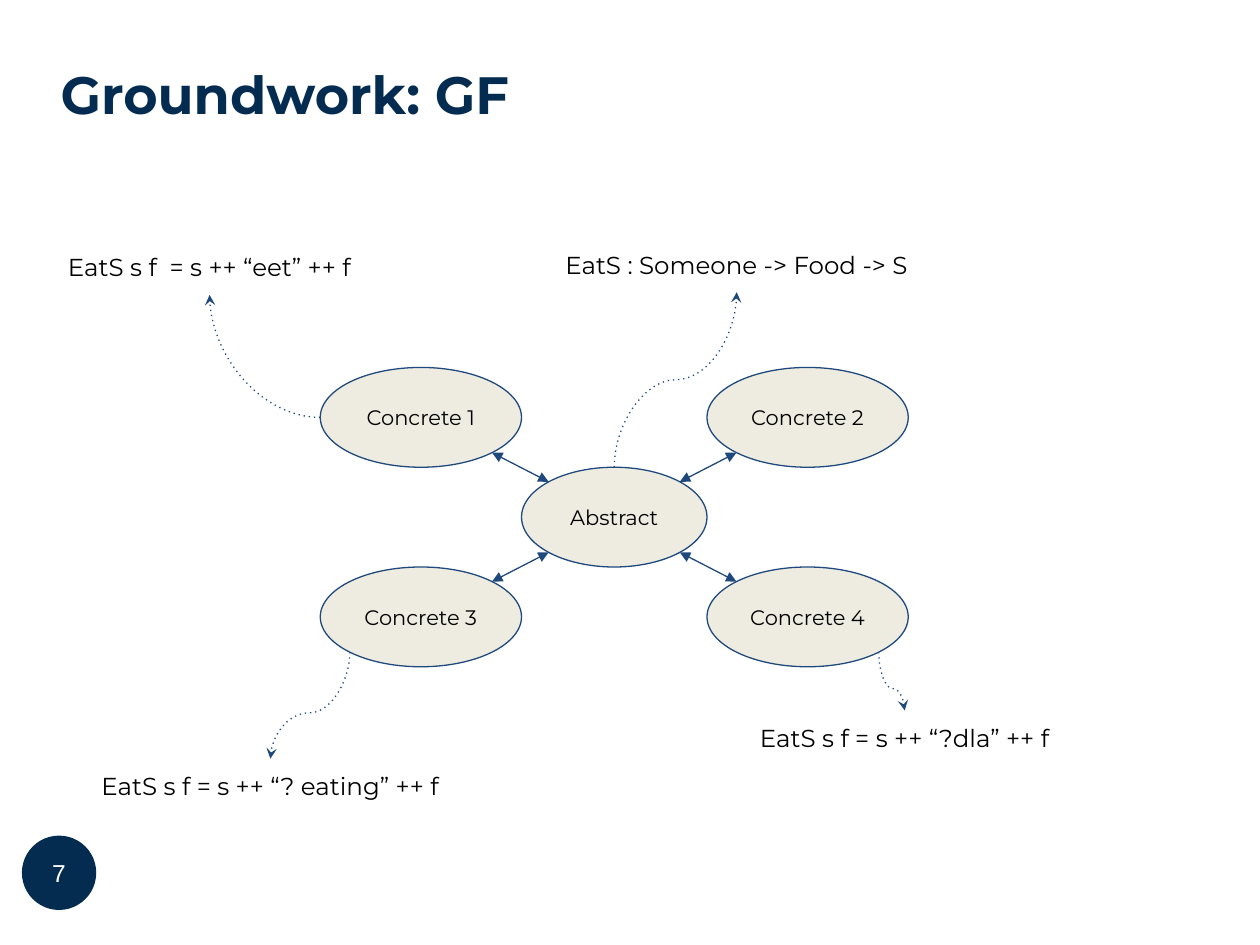
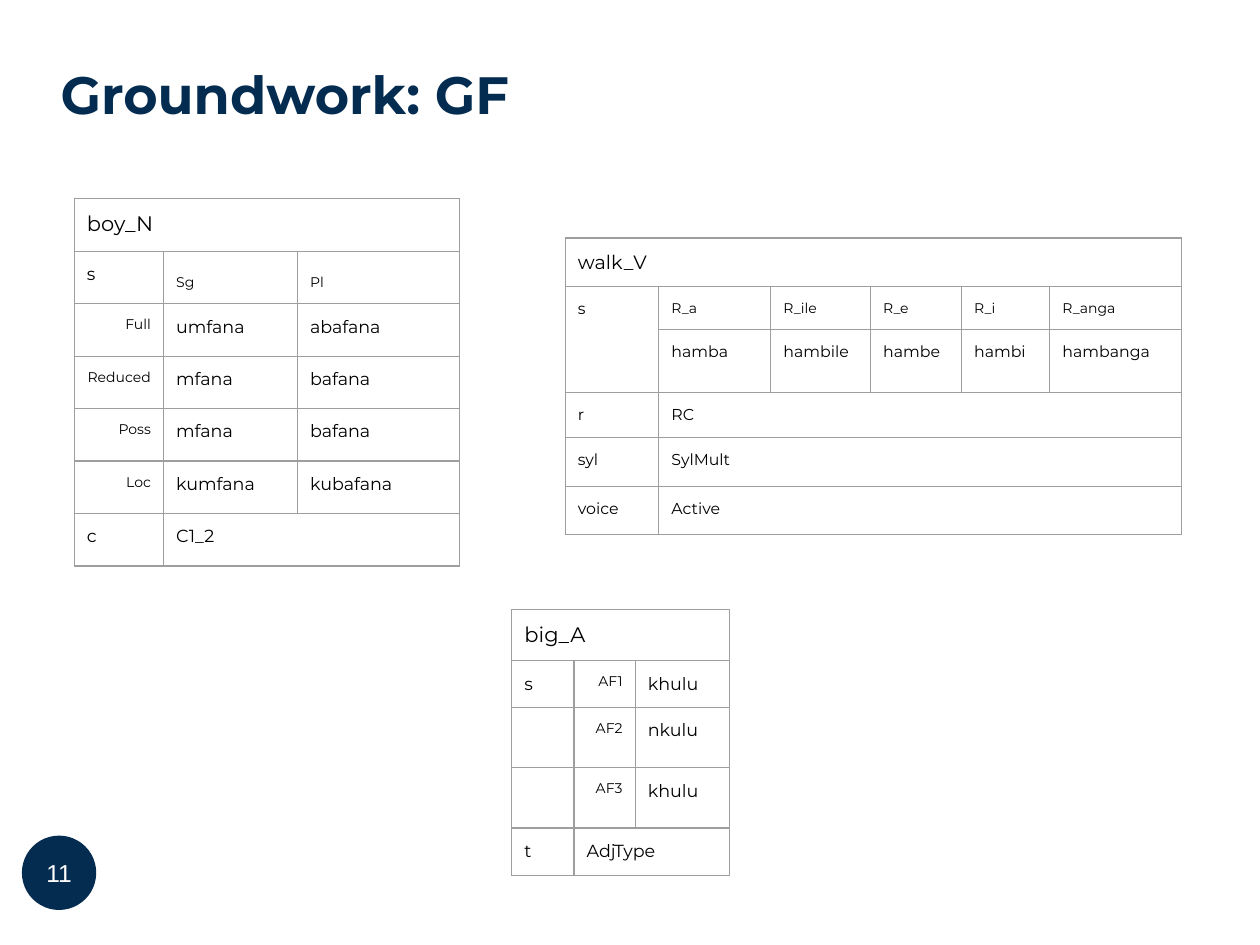
from dataclasses import dataclass
from math import cos, pi, sin

from lxml.etree import SubElement
from pptx import Presentation
from pptx.dml.color import RGBColor
from pptx.enum.shapes import MSO_CONNECTOR, MSO_SHAPE
from pptx.enum.text import MSO_ANCHOR, MSO_AUTO_SIZE, PP_ALIGN
from pptx.oxml.ns import qn
from pptx.util import Pt


@dataclass(frozen=True)
class Theme:
    """Colours, fonts and type sizes shared by the slides."""
    navy: RGBColor = RGBColor(0x03, 0x2C, 0x50)
    blue: RGBColor = RGBColor(0x1F, 0x49, 0x7D)
    sand: RGBColor = RGBColor(0xEE, 0xEC, 0xE1)
    grid: str = "9E9E9E"
    black: RGBColor = RGBColor(0, 0, 0)
    white: RGBColor = RGBColor(255, 255, 255)
    font: str = "Montserrat"
    badge_font: str = "Arial"
    title_size: float = 30
    rule_size: float = 14
    node_size: float = 12
    label_size: float = 8
    stroke: float = 0.75


THEME = Theme()
INSET = Pt(7.2)
INSETS = {f"margin_{side}": INSET for side in ("left", "top", "right", "bottom")}

NOUN = {
    "origin": (42.5, 113.5),
    "widths": (51, 76.5, 92.5),
    "heights": (30,) * 7,
    "sizes": (12, 10),
    "labels": {"Full", "Reduced", "Poss", "Loc"},
    "forms": {"Sg", "Pl"},
    "rows": [
        ["boy_N", None, None],
        ["s", "Sg", "Pl"],
        ["Full", "umfana", "abafana"],
        ["Reduced", "mfana", "bafana"],
        ["Poss", "mfana", "bafana"],
        ["Loc", "kumfana", "kubafana"],
        ["c", "C1_2", None],
    ],
}
ADJECTIVE = {
    "origin": (292.5, 348.5),
    "widths": (35.5, 35, 54),
    "heights": (29, 26.5, 34.5, 34.5, 27),
    "sizes": (12, 10),
    "labels": {"AF1", "AF2", "AF3"},
    "forms": set(),
    "rows": [
        ["big_A", None, None],
        ["s", "AF1", "khulu"],
        ["", "AF2", "nkulu"],
        ["", "AF3", "khulu"],
        ["t", "AdjType", None],
    ],
}
VERB = {
    "origin": (323, 136),
    "widths": (53.5, 64, 57, 52, 50.5, 75),
    "heights": (27.5, 24.5, 36, 25, 28, 27.5),
    "sizes": (11, 9),
    "labels": set(),
    "forms": {"R_a", "R_ile", "R_e", "R_i", "R_anga"},
    "rows": [
        ["walk_V"] + [None] * 5,
        ["s", "R_a", "R_ile", "R_e", "R_i", "R_anga"],
        [None, "hamba", "hambile", "hambe", "hambi", "hambanga"],
        ["r", "RC"] + [None] * 4,
        ["syl", "SylMult"] + [None] * 4,
        ["voice", "Active"] + [None] * 4,
    ],
}


def apply(target, formats):
    """Set every attribute of the target from a dict of format values."""
    for name, value in formats.items():
        setattr(target, name, value)


def write(frame, text, size, align=PP_ALIGN.LEFT, color=THEME.black, font=THEME.font, bold=False):
    """Write one formatted paragraph into a text frame."""
    paragraph = frame.paragraphs[0]
    paragraph.alignment = align
    run = paragraph.add_run()
    run.text = text
    apply(run.font, {"size": Pt(size), "name": font, "bold": bold})
    run.font.color.rgb = color


def add_ellipse(slide, box, fill, text, size, line=None, **text_format):
    """Add a filled ellipse with centred text."""
    ellipse = slide.shapes.add_shape(MSO_SHAPE.OVAL, *map(Pt, box))
    ellipse.shadow.inherit = False
    ellipse.fill.solid()
    ellipse.fill.fore_color.rgb = fill
    if line is None:
        ellipse.line.fill.background()
    else:
        ellipse.line.color.rgb = line
        ellipse.line.width = Pt(THEME.stroke)
    apply(ellipse.text_frame, {
        "margin_left": 0, "margin_right": 0, "margin_top": 0, "margin_bottom": 0,
        "vertical_anchor": MSO_ANCHOR.MIDDLE, "word_wrap": True})
    write(ellipse.text_frame, text, size, PP_ALIGN.CENTER, **text_format)
    return ellipse


def add_content_slide(deck, title, number):
    """Add a slide with the shared title and number badge."""
    slide = deck.slides.add_slide(deck.slide_layouts[5])
    add_ellipse(slide, (12.5, 477.5, 42.5, 42.5), THEME.navy, number, THEME.rule_size,
                color=THEME.white, font=THEME.badge_font)
    heading = slide.shapes.title
    apply(heading, {"left": Pt(27.5), "top": Pt(15), "width": Pt(648), "height": Pt(76.5)})
    apply(heading.text_frame, {"vertical_anchor": MSO_ANCHOR.MIDDLE, "auto_size": MSO_AUTO_SIZE.NONE})
    write(heading.text_frame, title, THEME.title_size, color=THEME.navy, bold=True)
    return slide


def add_rule(slide, left, top, width, text):
    """Add a centred linearisation rule."""
    rule = slide.shapes.add_textbox(Pt(left), Pt(top), Pt(width), Pt(31.5))
    apply(rule.text_frame, INSETS | {"word_wrap": True, "auto_size": MSO_AUTO_SIZE.SHAPE_TO_FIT_TEXT})
    write(rule.text_frame, text, THEME.rule_size, PP_ALIGN.CENTER)
    return rule


def site_point(shape, site, sites):
    """Return a connection site, counted anticlockwise from the top."""
    angle = 2 * pi * site / sites
    return (shape.left + shape.width / 2 * (1 - sin(angle)),
            shape.top + shape.height / 2 * (1 - cos(angle)))


def add_link(slide, source, source_site, target, target_site, target_sites, kind, ends, dash=None):
    """Glue a connector to two shapes and return it with its end points."""
    start = site_point(source, source_site, 8)
    end = site_point(target, target_site, target_sites)
    link = slide.shapes.add_connector(kind, 0, 0, 0, 0)
    link.begin_connect(source, 0)
    link.end_connect(target, 0)
    for tag, site in (("a:stCxn", source_site), ("a:endCxn", target_site)):
        next(link._element.iter(qn(tag))).set("idx", str(site))
    link.line.color.rgb = THEME.blue
    link.line.width = Pt(THEME.stroke)
    properties = link._element.spPr
    outline = properties.find(qn("a:ln"))
    if dash:
        SubElement(outline, qn("a:prstDash"), val=dash)
    for tag, arrow in ends.items():
        SubElement(outline, qn(tag), type=arrow)
    SubElement(properties, qn("a:effectLst"))
    return link, start, end


def place_link(link, start, end, width, height, rotation=0, flip_h=False, flip_v=False):
    """Centre a connector between its ends, with rotation and flips."""
    middle_x, middle_y = (start[0] + end[0]) / 2, (start[1] + end[1]) / 2
    apply(link, {"left": int(middle_x - width / 2), "top": int(middle_y - height / 2),
                 "width": int(width), "height": int(height)})
    frame = link._element.spPr.find(qn("a:xfrm"))
    for name, value in {"rot": rotation * 60000, "flipH": int(flip_h), "flipV": int(flip_v)}.items():
        frame.set(name, str(value))


def add_straight_link(slide, hub, hub_site, node, node_site):
    """Join the hub and a node by a two-headed arrow."""
    ends = {"a:headEnd": "triangle", "a:tailEnd": "triangle"}
    link, start, end = add_link(slide, hub, hub_site, node, node_site, 8, MSO_CONNECTOR.STRAIGHT, ends)
    across, down = end[0] - start[0], end[1] - start[1]
    place_link(link, start, end, abs(across), abs(down), flip_h=across < 0, flip_v=down < 0)


def add_curved_link(slide, node, node_site, rule, rule_site, bend=None):
    """Lead from a node to its rule by a dotted curve, S-shaped if a bend is given."""
    link, start, end = add_link(slide, node, node_site, rule, rule_site, 4,
                                MSO_CONNECTOR.CURVE, {"a:tailEnd": "stealth"}, "dot")
    across, down = end[0] - start[0], end[1] - start[1]
    geometry = link._element.spPr.find(qn("a:prstGeom"))
    if bend is None:
        geometry.set("prst", "curvedConnector2")
        place_link(link, start, end, abs(across), abs(down), rotation=180)
    else:
        SubElement(geometry.find(qn("a:avLst")), qn("a:gd"), name="adj1", fmla=f"val {round(bend * 100000)}")
        place_link(link, start, end, abs(down), abs(across), rotation=90 if down > 0 else 270,
                   flip_v=(down > 0) == (across > 0))


def add_borders(cell):
    """Give a cell thin grey borders on all sides."""
    properties = cell._tc.get_or_add_tcPr()
    for position, side in enumerate(("a:lnL", "a:lnR", "a:lnT", "a:lnB")):
        border = SubElement(properties, qn(side), w=str(Pt(THEME.stroke)))
        SubElement(SubElement(border, qn("a:solidFill")), qn("a:srgbClr"), val=THEME.grid)
        properties.insert(position, border)


def merge_gaps(table, rows):
    """Merge each None with the cell on its left, or above in the first column."""
    for r, row in enumerate(rows):
        if row[0] is None:
            table.cell(r - 1, 0).merge(table.cell(r, 0))
        elif row[-1] is None:
            first = row.index(None) - 1
            table.cell(r, first).merge(table.cell(r, len(row) - 1))


def add_paradigm(slide, lexeme):
    """Add the inflection table of a lexeme."""
    rows, widths, heights = lexeme["rows"], lexeme["widths"], lexeme["heights"]
    head_size, value_size = lexeme["sizes"]
    box = (*lexeme["origin"], sum(widths), sum(heights))
    table = slide.shapes.add_table(len(rows), len(widths), *map(Pt, box)).table
    apply(table, {"first_row": False, "horz_banding": False})
    for column, width in zip(table.columns, widths):
        column.width = Pt(width)
    for r, (row, height) in enumerate(zip(rows, heights)):
        table.rows[r].height = Pt(height)
        for c, text in enumerate(row):
            cell = table.cell(r, c)
            cell.fill.background()
            add_borders(cell)
            if not text:
                continue
            is_label, is_form = text in lexeme["labels"], text in lexeme["forms"]
            size = head_size if r == 0 else THEME.label_size if is_label or is_form else value_size
            apply(cell, INSETS | {"vertical_anchor": MSO_ANCHOR.BOTTOM if is_form else MSO_ANCHOR.TOP})
            write(cell.text_frame, text, size, PP_ALIGN.RIGHT if is_label else PP_ALIGN.LEFT)
    merge_gaps(table, rows)


def add_grammar(slide):
    """Draw the abstract grammar, its four concretes and their rules."""
    hub_left, hub_top, hub_width, height, width = 298, 267, 106, 57, 115

    def add_node(left, top, node_width, text):
        """Add one grammar node."""
        return add_ellipse(slide, (left, top, node_width, height), THEME.sand, text,
                           THEME.node_size, THEME.blue)

    abstract = add_node(hub_left, hub_top, hub_width, "Abstract")
    concretes = [
        add_node(left, top, width, f"Concrete {2 * r + c + 1}")
        for r, top in enumerate((hub_top - height, hub_top + height))
        for c, left in enumerate((hub_left - width, hub_left + hub_width))
    ]
    for concrete, hub_site in zip(concretes, (1, 7, 3, 5)):
        add_straight_link(slide, abstract, hub_site, concrete, (hub_site + 4) % 8)

    signature = add_rule(slide, 277, 135.5, 288, "EatS : Someone -> Food -> S")
    first_rule = add_rule(slide, 11, 137, 217.5, "EatS s f  = s ++ “eet” ++ f")
    third_rule = add_rule(slide, 19.5, 433.5, 270, "EatS s f = s ++ “? eating” ++ f")
    fourth_rule = add_rule(slide, 382, 406, 270, "EatS s f = s ++ “?dla” ++ f")
    add_curved_link(slide, abstract, 0, signature, 2, 0.5)
    add_curved_link(slide, concretes[0], 2, first_rule, 2)
    add_curved_link(slide, concretes[2], 3, third_rule, 0, 0.57)
    add_curved_link(slide, concretes[3], 5, fourth_rule, 0, 0.62)


def main():
    """Build and save the deck."""
    deck = Presentation()
    apply(deck, {"slide_width": Pt(720), "slide_height": Pt(540)})
    title = "Groundwork: GF"
    add_grammar(add_content_slide(deck, title, "7"))
    paradigms = add_content_slide(deck, title, "11")
    for lexeme in (NOUN, ADJECTIVE, VERB):
        add_paradigm(paradigms, lexeme)
    deck.save("out.pptx")


if __name__ == "__main__":
    main()
